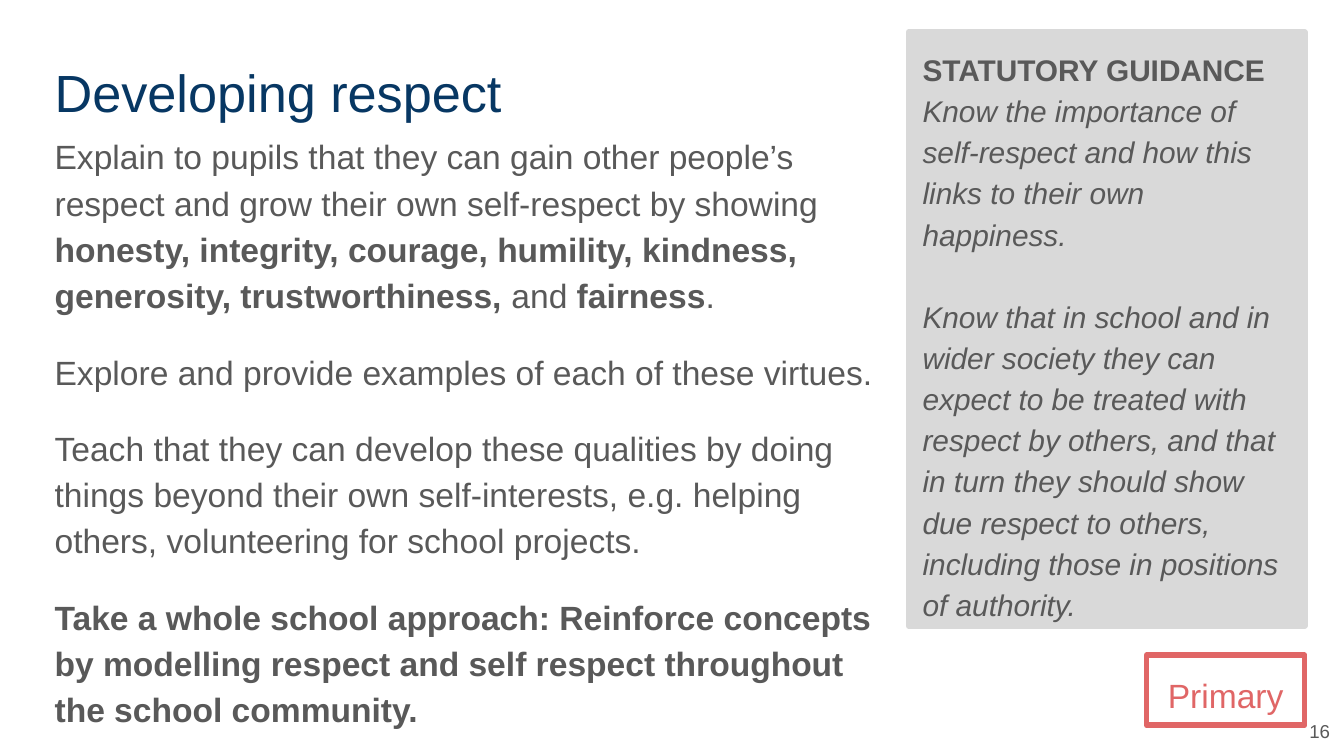
from pptx import Presentation
from pptx.dml.color import RGBColor
from pptx.enum.shapes import MSO_SHAPE
from pptx.enum.text import MSO_ANCHOR, MSO_AUTO_SIZE, PP_ALIGN
from pptx.oxml.ns import qn
from pptx.util import Pt

PX = 9525
NAVY = RGBColor(0x07, 0x37, 0x63)
GREY = RGBColor(0x59, 0x59, 0x59)
PANEL = RGBColor(0xD9, 0xD9, 0xD9)
CORAL = RGBColor(0xE0, 0x66, 0x66)
RECTANGLE = MSO_SHAPE.RECTANGLE
TOP, MIDDLE = MSO_ANCHOR.TOP, MSO_ANCHOR.MIDDLE
LEFT, CENTER, RIGHT = PP_ALIGN.LEFT, PP_ALIGN.CENTER, PP_ALIGN.RIGHT
NO_FIT = MSO_AUTO_SIZE.NONE
PLAIN, BOLD, ITALIC = {}, {"bold": True}, {"italic": True}


def place(box, left, top, width, height):
    bounds = {"left": left, "top": top, "width": width, "height": height}
    for name, value in bounds.items():
        setattr(box, name, value * PX)


def write(box, paragraphs, size, color, align=LEFT, anchor=TOP, spacing=1.0, gap=0):
    """Fill a box from lists of (text, style) spans; a final newline breaks the line."""
    frame = box.text_frame
    frame_format = {"word_wrap": True, "auto_size": NO_FIT, "vertical_anchor": anchor}
    for side in ("left", "top", "right", "bottom"):
        frame_format[f"margin_{side}"] = 10 * PX
    for name, value in frame_format.items():
        setattr(frame, name, value)
    for index, spans in enumerate(paragraphs):
        para = frame.add_paragraph() if index else frame.paragraphs[0]
        para_format = {"alignment": align, "line_spacing": spacing,
                       "space_before": Pt(gap if index else 0), "space_after": Pt(0)}
        for name, value in para_format.items():
            setattr(para, name, value)
        properties = para._p.get_or_add_pPr()
        properties.set("marL", "0")
        properties.set("indent", "0")
        properties.append(properties.makeelement(qn("a:buNone"), {}))
        for text, style in spans:
            span = para.add_run()
            span.text = text.rstrip("\n")
            span_format = {"name": "Arial", "size": Pt(size), "bold": False, "italic": False}
            for name, value in (span_format | style).items():
                setattr(span.font, name, value)
            span.font.color.rgb = color
            if text.endswith("\n"):
                para.add_line_break()


deck = Presentation()
deck.slide_width, deck.slide_height = 960 * PX, 540 * PX
page = deck.slides.add_slide(deck.slide_layouts.get_by_name("Two Content"))
title, body, guidance = page.placeholders

place(title, 29, 33, 615, 60)
write(title, [[("Developing respect", PLAIN)]], 28, NAVY)

place(body, 29, 83, 615, 385)
write(body, [
    [("Explain to pupils that they can gain other people’s respect and grow "
      "their own self-respect by showing ", PLAIN),
     ("honesty, integrity, courage, humility, kindness, generosity, "
      "trustworthiness, ", BOLD),
     ("and", PLAIN), (" fairness", BOLD), (".", PLAIN)],
    [("Explore and provide examples of each of these virtues.", PLAIN)],
    [("Teach that they can develop these qualities by doing things beyond their "
      "own self-interests, e.g. helping others, volunteering for school projects.", PLAIN)],
    [("Take a whole school approach: Reinforce concepts by modelling respect and "
      "self respect throughout the school community.", BOLD)],
], 18, GREY, spacing=1.15, gap=16)

place(guidance, 649, 23, 283, 424)
guidance.fill.solid()
guidance.fill.fore_color.rgb = PANEL
write(guidance, [
    [("STATUTORY GUIDANCE\n", BOLD),
     ("Know the importance of self-respect and how this links to their own "
      "happiness.", ITALIC)],
    [("Know that in school and in wider society they can expect to be treated with "
      "respect by others, and that in turn they should show due respect to others, "
      "including those in positions of authority.", ITALIC)],
], 16, GREY, spacing=1.15, gap=22)

stage = page.shapes.add_shape(RECTANGLE, 0, 0, 0, 0)
place(stage, 819, 468, 113, 50)
stage.shadow.inherit = False
stage.fill.background()
write(stage, [[("Primary", PLAIN)]], 18, CORAL, align=CENTER, spacing=1.15)

for box, color in ((guidance, PANEL), (stage, CORAL)):
    box.line.color.rgb = color
    box.line.width = Pt(3)

number = page.shapes.add_textbox(0, 0, 0, 0)
place(number, 923, 505, 37, 35)
write(number, [[("16", PLAIN)]], 10, GREY, align=RIGHT, anchor=MIDDLE)

deck.save("out.pptx")
